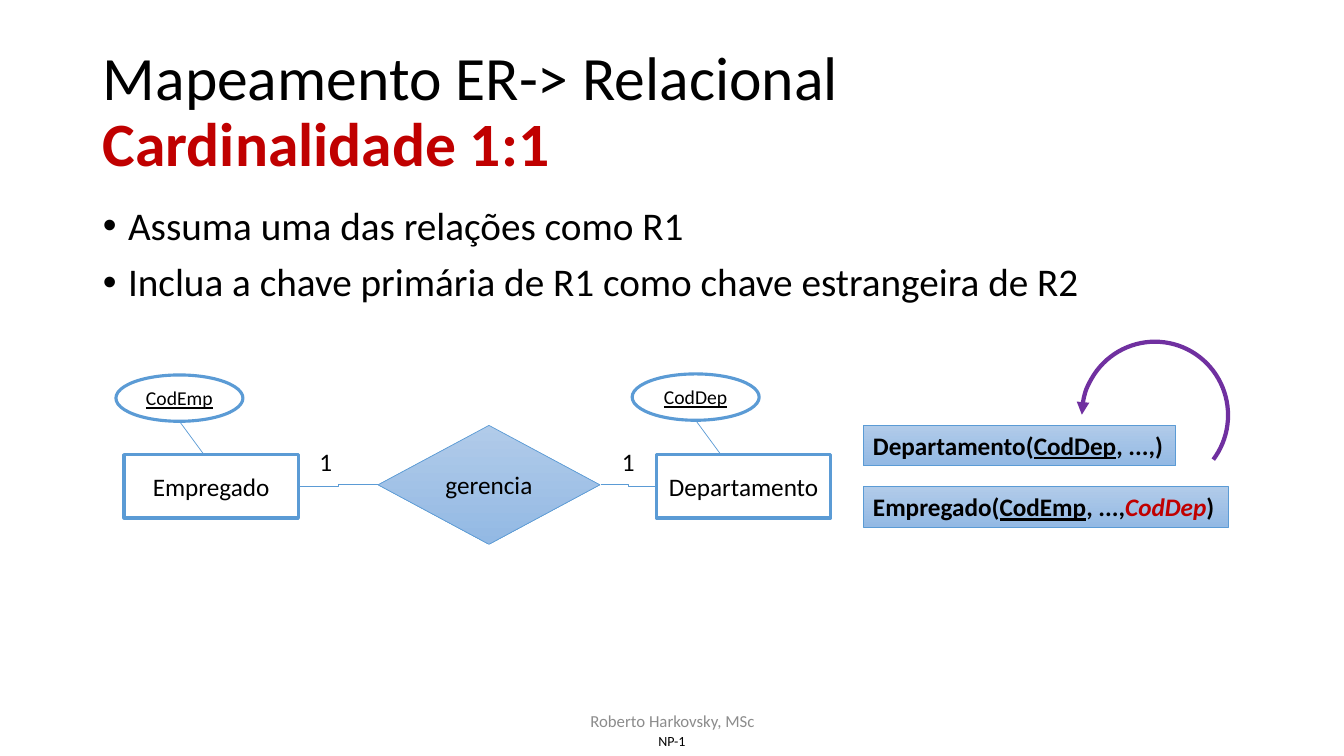
from dataclasses import dataclass

from pptx import Presentation
from pptx.dml.color import RGBColor
from pptx.enum import shapes, text
from pptx.oxml.ns import qn
from pptx.util import Inches, Pt
from lxml import etree


@dataclass(frozen=True)
class Theme:
    """Colours, font and type sizes of the slide."""
    font: str = "Calibri"
    ink: str = "000000"
    accent: str = "C00000"
    muted: str = "8C8C8C"
    paper: str = "FFFFFF"
    blue: str = "5B9BD5"
    gradient: tuple = ("B1CBE9", "93B9E4")
    arrow: str = "7030A0"
    title: int = 44
    body: int = 28
    label: int = 18
    key: int = 14
    footer: int = 12
    code: int = 10
    thin: float = 0.5
    thick: float = 2.25
    arc: float = 3


T = Theme()
GEOM = shapes.MSO_SHAPE
LINK = shapes.MSO_CONNECTOR
LEFT, CENTER = text.PP_ALIGN.LEFT, text.PP_ALIGN.CENTER
TOP, MIDDLE = text.MSO_ANCHOR.TOP, text.MSO_ANCHOR.MIDDLE


def rgb(value):
    """Turn a hex string into a colour."""
    return RGBColor.from_string(value)


def add_run(p, words, size, color=T.ink, bold=False, italic=False, underline=False):
    """Append one formatted run to a paragraph."""
    r = p.add_run()
    r.text = words
    r.font.name, r.font.size, r.font.color.rgb = T.font, Pt(size), rgb(color)
    r.font.bold, r.font.italic, r.font.underline = bold, italic, underline


def set_frame(sp, align, anchor, wrap=True):
    """Prepare a text frame and return its first paragraph."""
    tf = sp.text_frame
    tf.word_wrap, tf.vertical_anchor = wrap, anchor
    tf.auto_size = text.MSO_AUTO_SIZE.NONE
    p = tf.paragraphs[0]
    p.alignment = align
    return p


def place(sp, x, y, w, h):
    """Move and size a placeholder."""
    sp.left, sp.top, sp.width, sp.height = map(Inches, (x, y, w, h))


def fill_title(sp, heading, topic):
    """Write the two-line title."""
    place(sp, 0.92, 0.4, 11.5, 1.45)
    p = set_frame(sp, LEFT, MIDDLE)
    p.line_spacing = 0.9
    add_run(p, heading, T.title)
    p.add_line_break()
    add_run(p, topic, T.title, T.accent, bold=True)


def fill_body(sp, items):
    """Write the bulleted list."""
    place(sp, 0.92, 2, 11.5, 4.76)
    p = set_frame(sp, LEFT, TOP)
    for i, item in enumerate(items):
        p = p if i == 0 else sp.text_frame.add_paragraph()
        p.line_spacing, p.space_before = 0.9, Pt(10)
        pPr = p._p.get_or_add_pPr()
        pPr.set("marL", str(Inches(0.25)))
        pPr.set("indent", str(Inches(-0.25)))
        add_run(p, item, T.body)


def add_label(s, x, y, w, h, words, size, color=T.ink, align=CENTER, anchor=MIDDLE, wrap=True):
    """Add a plain text box."""
    sp = s.shapes.add_textbox(*map(Inches, (x, y, w, h)))
    add_run(set_frame(sp, align, anchor, wrap), words, size, color)
    return sp


def add_box(s, geom, x, y, w, h, gradient=False):
    """Add a blue-outlined shape, white or shaded."""
    sp = s.shapes.add_shape(geom, *map(Inches, (x, y, w, h)))
    sp.shadow.inherit = False
    sp.line.color.rgb = rgb(T.blue)
    sp.line.width = Pt(T.thin if gradient else T.thick)
    if gradient:
        sp.fill.gradient()
        sp.fill.gradient_angle = 270
        for stop, color in zip(sp.fill.gradient_stops, T.gradient):
            stop.color.rgb = rgb(color)
    else:
        sp.fill.solid()
        sp.fill.fore_color.rgb = rgb(T.paper)
    return sp


def add_link(s, kind, x1, y1, x2, y2):
    """Add a thin connector without shadow."""
    line = s.shapes.add_connector(kind, *map(Inches, (x1, y1, x2, y2)))
    line.line.color.rgb, line.line.width = rgb(T.blue), Pt(T.thin)
    etree.SubElement(line._element.spPr, qn("a:effectLst"))


def add_entity(s, x, name):
    """Add an entity rectangle."""
    sp = add_box(s, GEOM.RECTANGLE, x, 4.51, 1.73, 0.63)
    add_run(set_frame(sp, CENTER, MIDDLE), name, T.label)


def add_key(s, x, y, name):
    """Add a key attribute ellipse and its link to the entity."""
    sp = add_box(s, GEOM.OVAL, x, y, 1.26, 0.46)
    add_run(set_frame(sp, CENTER, MIDDLE), name, T.key, underline=True)
    add_link(s, LINK.STRAIGHT, x + 0.63, y + 0.46, x + 0.88, y + 0.8)


def add_relationship(s, name):
    """Add the relationship diamond."""
    sp = add_box(s, GEOM.DIAMOND, 3.75, 4.22, 2.2, 1.18, gradient=True)
    add_run(set_frame(sp, CENTER, MIDDLE), name, T.label)


def add_schema(s, y, w, parts):
    """Add a relation schema from (words, style) parts."""
    sp = add_box(s, GEOM.RECTANGLE, 8.56, y, w, 0.4, gradient=True)
    p = set_frame(sp, LEFT, TOP, wrap=False)
    for words, style in parts:
        add_run(p, words, T.label, bold=True, **style)


def add_arc_arrow(s):
    """Add the curved arrow pointing at the referenced relation."""
    sp = s.shapes.add_shape(GEOM.ARC, *map(Inches, (10.73, 3.39, 1.45, 1.46)))
    sp.shadow.inherit = False
    sp.adjustments[0], sp.adjustments[1] = 108.257, 22.352
    sp.fill.background()
    sp.line.color.rgb, sp.line.width = rgb(T.arrow), Pt(T.arc)
    etree.SubElement(sp.line._get_or_add_ln(), qn("a:headEnd"), type="triangle")


def main():
    """Build and save the slide."""
    prs = Presentation()
    prs.slide_width, prs.slide_height = Inches(13.33), Inches(7.5)
    s = prs.slides.add_slide(prs.slide_layouts[1])
    fill_title(s.shapes.title, "Mapeamento ER-> Relacional", "Cardinalidade 1:1")
    fill_body(s.placeholders[1], (
        "Assuma uma das relações como R1",
        "Inclua a chave primária de R1 como chave estrangeira de R2"))

    code = add_label(s, 6.38, 7.21, 0.57, 0.29, "NP-1", T.code)
    tf = code.text_frame
    tf.margin_left = tf.margin_right = tf.margin_top = tf.margin_bottom = 0
    add_label(s, 4.42, 6.95, 4.5, 0.4, "Roberto Harkovsky, MSc", T.footer, T.muted)

    add_entity(s, 1.23, "Empregado")
    add_relationship(s, "gerencia")
    add_entity(s, 6.51, "Departamento")
    add_link(s, LINK.ELBOW, 2.96, 4.83, 3.75, 4.81)
    add_link(s, LINK.ELBOW, 5.96, 4.81, 6.51, 4.83)
    for x in (3.07, 6.07):
        add_label(s, x, 4.38, 0.33, 0.4, "1", T.label, align=LEFT, anchor=TOP, wrap=False)

    key, foreign = {"underline": True}, {"color": T.accent, "italic": True}
    add_schema(s, 4.22, 3.1, (("Departamento(", {}), ("CodDep", key), (", ...,)", {})))
    add_schema(s, 4.83, 3.62, (("Empregado(", {}), ("CodEmp", key), (", ...,", {}),
                               ("CodDep", foreign), (")", {})))
    add_arc_arrow(s)
    add_key(s, 1.15, 3.72, "CodEmp")
    add_key(s, 6.27, 3.71, "CodDep")
    prs.save("out.pptx")


main()
